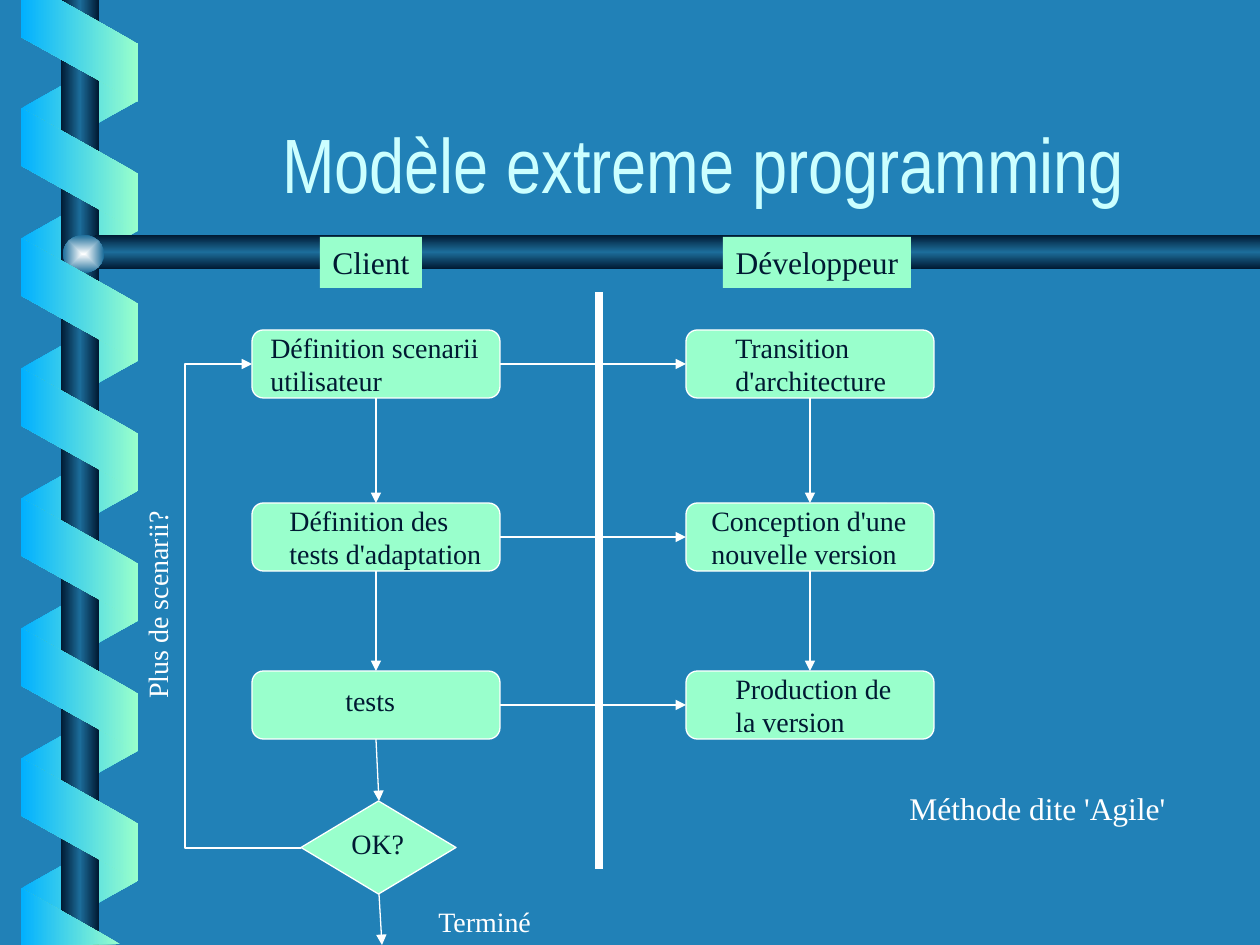
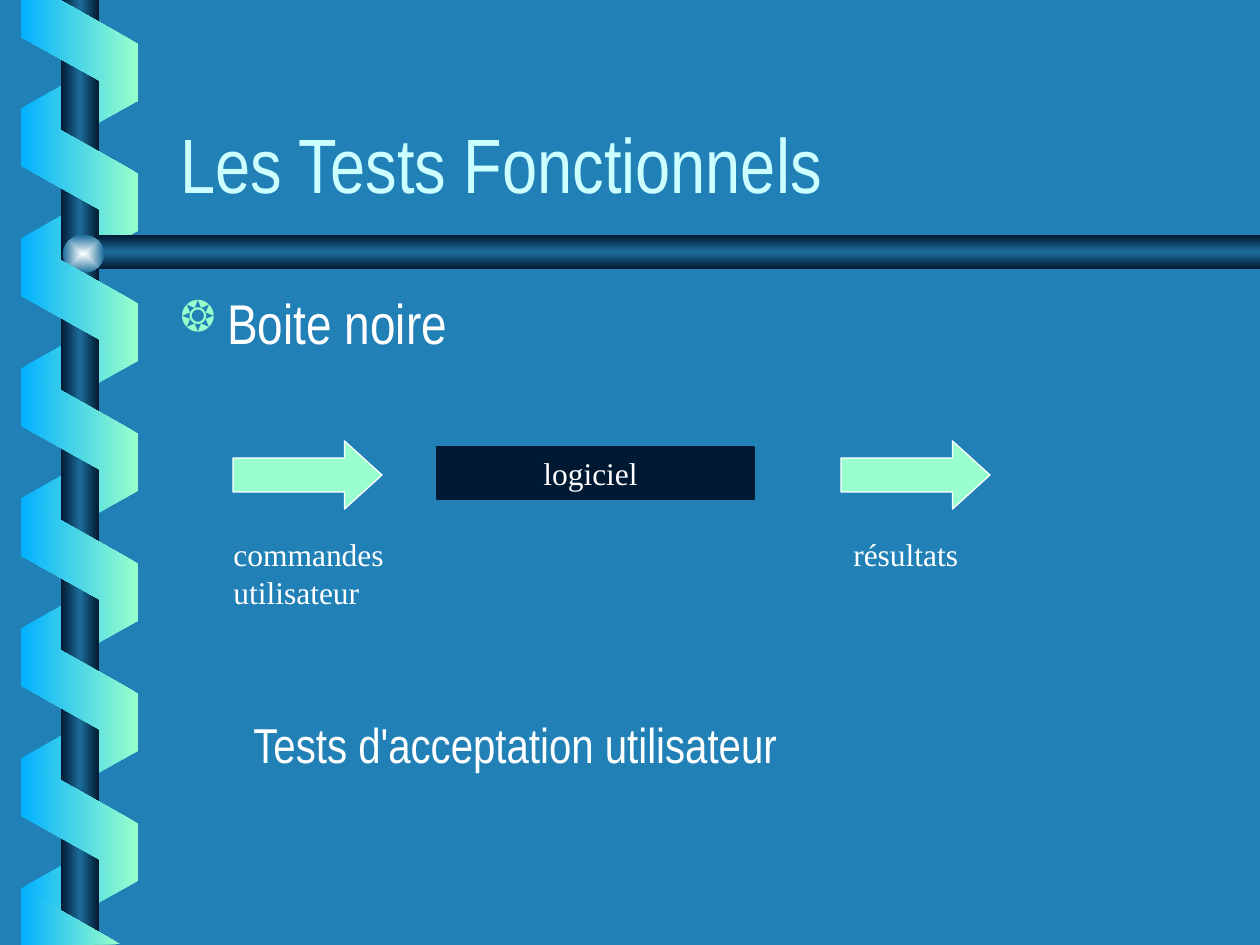
from lxml import etree
from pptx import Presentation
from pptx.dml.color import RGBColor
from pptx.enum.shapes import MSO_CONNECTOR, MSO_SHAPE
from pptx.enum.text import MSO_ANCHOR, MSO_AUTO_SIZE, PP_ALIGN
from pptx.oxml import parse_xml
from pptx.oxml.ns import nsdecls, qn
from pptx.util import Pt

RECT, ROUNDED, OVAL = MSO_SHAPE.RECTANGLE, MSO_SHAPE.ROUNDED_RECTANGLE, MSO_SHAPE.OVAL
STRIP, DIAMOND, ARROW = MSO_SHAPE.PARALLELOGRAM, MSO_SHAPE.DIAMOND, MSO_SHAPE.RIGHT_ARROW
STRAIGHT, ELBOW = MSO_CONNECTOR.STRAIGHT, MSO_CONNECTOR.ELBOW
TOP, BOTTOM = MSO_ANCHOR.TOP, MSO_ANCHOR.BOTTOM
LEFT, CENTER = PP_ALIGN.LEFT, PP_ALIGN.CENTER
NO_FIT = MSO_AUTO_SIZE.NONE

# Shared style
BLUE = RGBColor(0x21, 0x81, 0xB7)
NAVY = RGBColor(0x00, 0x19, 0x32)
STEEL = RGBColor(0x1C, 0x6D, 0x9A)
SKY = RGBColor(0x01, 0xB0, 0xFF)
MINT = RGBColor(0x99, 0xFF, 0xCC)
PALE = RGBColor(0xCC, 0xFF, 0xFF)
PEARL = RGBColor(0xFE, 0xFF, 0xFF)
WHITE = RGBColor(0xFF, 0xFF, 0xFF)
SANS, SERIF = "Arial Narrow", "Times New Roman"
UNIT = 914400 / 126
SLIDE_W, SLIDE_H = 1260, 945
TITLE_AREA = (168, 58, 1071, 157)

# Shared decoration
RIBBON_LEFT, RIBBON_W, RIBBON_H, RIBBON_STEP = 18, 123, 117, 130
BACK_TOP, BACK_COUNT = 46, 7
FRONT_TOP, FRONT_COUNT = 111, 6
RIBBON_START = [(21, 0), (21, 37), (138, 102), (138, 44), (60, 0)]
RIBBON_END = [(120, 944), (21, 888), (21, 945)]
BAND = [(1260, 235), (96, 235), (76, 252), (96, 269), (1260, 269)]

# Slide 1: the columns hold (lines, text left, text top, text width) from top to bottom
XP_TITLE = "Modèle extreme programming"
STEP_W, STEP_H = 248, 68
STEP_TOPS = [330, 503, 671]
COLUMNS = {
    252: [
        (["Définition scenarii", "utilisateur"], 258, 324, 250),
        (["Définition des", "tests d'adaptation"], 277, 497, 235),
        (["tests"], 333, 677, 90),
    ],
    686: [
        (["Transition", "d'architecture"], 723, 324, 195),
        (["Conception d'une", "nouvelle version"], 699, 497, 240),
        (["Production de", "la version"], 723, 665, 200),
    ],
}
ROLES = [("Client", 320, 102), ("Développeur", 723, 188)]
DECISION = (301, 801, 155, 93)
LOOP_X = 185

# Slide 2
TESTS_TITLE = "Les Tests Fonctionnels"
ARROW_LEFTS = [233, 841]
FLOW_LABELS = [
    (["commandes", "utilisateur"], (221, 529, 195, 88)),
    (["résultats"], (841, 529, 150, 50)),
    (["logiciel"], (531, 448, 140, 50)),
]


def emu(*lengths):
    return [round(length * UNIT) for length in lengths]


def paint(shape, fill, line=None):
    shape.shadow.inherit = False
    shape.fill.solid()
    shape.fill.fore_color.rgb = fill
    if line is None:
        shape.line.fill.background()
    else:
        shape.line.color.rgb = line
        shape.line.width = Pt(0.75)


def paint_gradient(shape, colours, angle=None):
    """Spread the colours evenly, along an angle or out from the centre."""
    paint(shape, colours[0])
    last = len(colours) - 1
    stops = "".join(
        f'<a:gs pos="{100000 * i // last}"><a:srgbClr val="{colour}"/></a:gs>'
        for i, colour in enumerate(colours))
    if angle is None:
        course = ('<a:path path="rect"><a:fillToRect l="50000" t="50000" '
                  'r="50000" b="50000"/></a:path>')
    else:
        course = f'<a:lin ang="{angle * 60000}" scaled="0"/>'
    gradient = parse_xml(f'<a:gradFill {nsdecls("a")} rotWithShape="0">'
                         f'<a:gsLst>{stops}</a:gsLst>{course}</a:gradFill>')
    properties = shape._element.spPr
    properties.replace(properties.find(qn("a:solidFill")), gradient)


def add_shape(page, kind, area, fill, line=None, adjustments=()):
    shape = page.shapes.add_shape(kind, *emu(*area))
    for i, value in enumerate(adjustments):
        shape.adjustments[i] = value
    paint(shape, fill, line)
    return shape


def add_outline(page, points):
    builder = page.shapes.build_freeform(*points[0], scale=UNIT)
    builder.add_line_segments(points[1:], close=True)
    return builder.convert_to_shape()


def add_line(page, start, end, kind=STRAIGHT, width=0.75, arrow=True):
    line = page.shapes.add_connector(kind, *emu(*start, *end))
    line.line.color.rgb = WHITE
    line.line.width = Pt(width)
    properties = line._element.spPr
    if arrow:
        tail = etree.SubElement(properties.find(qn("a:ln")), qn("a:tailEnd"))
        tail.set("type", "triangle")
    etree.SubElement(properties, qn("a:effectLst"))
    return line


def add_bullet(para, mark, colour, percent, indent):
    properties = para._p.get_or_add_pPr()
    properties.set("marL", str(indent))
    properties.set("indent", str(-indent))
    for xml in (f'<a:buClr {nsdecls("a")}><a:srgbClr val="{colour}"/></a:buClr>',
                f'<a:buSzPct {nsdecls("a")} val="{percent * 1000}"/>',
                f'<a:buChar {nsdecls("a")} char="{mark}"/>'):
        properties.append(parse_xml(xml))


def write(frame, lines, size=16, font=SERIF, colour=WHITE, align=LEFT,
          anchor=TOP, wrap=True):
    frame.word_wrap = wrap
    frame.auto_size = NO_FIT
    frame.vertical_anchor = anchor
    for i, line in enumerate(lines):
        para = frame.paragraphs[0] if i == 0 else frame.add_paragraph()
        para.alignment = align
        span = para.add_run()
        span.text = line
        span.font.size = Pt(size)
        span.font.name = font
        span.font.color.rgb = colour


def add_text(page, lines, area, **style):
    box = page.shapes.add_textbox(*emu(*area))
    write(box.text_frame, lines, **style)
    return box


def add_ribbon(page, top, count, colours, turn, flipped=False):
    for i in range(count):
        area = (RIBBON_LEFT, top + i * RIBBON_STEP, RIBBON_W, RIBBON_H)
        strip = add_shape(page, STRIP, area, SKY, adjustments=[0.56])
        strip.rotation = turn
        if flipped:
            strip._element.spPr.xfrm.set("flipH", "1")
        paint_gradient(strip, colours, 180)


def decorate(layout, page):
    """Draw the ribbon, post and band, then hand them to the layout."""
    add_ribbon(page, BACK_TOP, BACK_COUNT, [SKY, MINT], 90, flipped=True)
    post = add_shape(page, RECT, (61, 0, 38, SLIDE_H), NAVY)
    paint_gradient(post, [NAVY, STEEL, NAVY], 180)
    paint_gradient(add_outline(page, BAND), [NAVY, STEEL, NAVY], 90)
    knob = add_shape(page, OVAL, (63, 235, 41, 38), STEEL)
    paint_gradient(knob, [PEARL, STEEL])
    add_ribbon(page, FRONT_TOP, FRONT_COUNT, [MINT, SKY], 270)
    for points in (RIBBON_START, RIBBON_END):
        paint_gradient(add_outline(page, points), [MINT, SKY], 180)

    parts = [shape for shape in page.shapes if not shape.is_placeholder]
    for i, part in enumerate(parts):
        part._element.nvSpPr.cNvPr.set("id", str(100 + i))
        layout.shapes._spTree.insert(2 + i, part._element)


def set_title(page, text, align):
    title = page.shapes.title
    title.left, title.top, title.width, title.height = emu(*TITLE_AREA)
    write(title.text_frame, [text], size=44, font=SANS, colour=PALE, align=align,
          anchor=BOTTOM)


def build_process(page):
    set_title(page, XP_TITLE, CENTER)
    left, right = COLUMNS
    half = STEP_H // 2

    # Steps and the arrows down each column
    for x, steps in COLUMNS.items():
        middle = x + STEP_W // 2
        for y in STEP_TOPS:
            add_shape(page, ROUNDED, (x, y, STEP_W, STEP_H), MINT, WHITE)
        for y, following in zip(STEP_TOPS, STEP_TOPS[1:]):
            add_line(page, (middle, y + STEP_H), (middle, following))
        for lines, text_x, text_y, width in steps:
            area = (text_x, text_y, width, 34 * len(lines) + 13)
            add_text(page, lines, area, colour=NAVY)

    # Decision, its exit and the loop back to the first step
    x, y, width, height = DECISION
    tip = x + width // 2 + 1
    add_shape(page, DIAMOND, DECISION, MINT, WHITE)
    add_line(page, (left + STEP_W // 2, STEP_TOPS[-1] + STEP_H), (tip, y))
    add_line(page, (tip, y + height), (tip + 3, SLIDE_H))
    add_text(page, ["OK?"], (339, 820, 95, 47), colour=NAVY)
    loop = add_line(page, (left, STEP_TOPS[0] + half), (x, y + height // 2 + 1), ELBOW)
    shape_properties = loop._element.spPr
    shape_properties.xfrm.set("rot", "10800000")
    bend = round(100000 * (x - LOOP_X) / (x - left))
    guides = shape_properties.find(qn("a:prstGeom")).get_or_add_avLst()
    etree.SubElement(guides, qn("a:gd"), name="adj1", fmla=f"val {bend}")
    question = add_text(page, ["Plus de scenarii?"], (41, 571, 233, 47))
    question.rotation = 270
    add_text(page, ["Terminé"], (426, 898, 140, 47))

    # Hand-over from client to developer
    for y in STEP_TOPS:
        add_line(page, (left + STEP_W, y + half), (right, y + half))
    add_line(page, (599, 292), (599, 869), width=4.5, arrow=False)
    for role, x, width in ROLES:
        label = add_shape(page, RECT, (x, 237, width, 51), MINT)
        write(label.text_frame, [role], size=18, colour=NAVY, align=CENTER, wrap=False)
    add_text(page, ["Méthode dite 'Agile'"], (897, 783, 310, 51), size=18)


def build_tests(page):
    set_title(page, TESTS_TITLE, LEFT)
    box = page.shapes.add_textbox(*emu(168, 282, 1071, 567))
    add_bullet(box.text_frame.paragraphs[0], "❂", MINT, 75, emu(47)[0])
    write(box.text_frame, ["Boite noire"], size=32, font=SANS)

    # Input, black box, output
    add_shape(page, RECT, (437, 447, 317, 52), NAVY, NAVY)
    for x in ARROW_LEFTS:
        add_shape(page, ARROW, (x, 441, 149, 68), MINT, WHITE, [0.5, 0.55])
    for lines, area in FLOW_LABELS:
        add_text(page, lines, area, size=18)
    add_text(page, ["Tests d'acceptation utilisateur"], (241, 708, 711, 72),
             size=28, font=SANS)


def main():
    deck = Presentation()
    deck.slide_width, deck.slide_height = emu(SLIDE_W, SLIDE_H)
    background = deck.slide_master.background.fill
    background.solid()
    background.fore_color.rgb = BLUE
    layout = deck.slide_layouts[5]
    pages = [deck.slides.add_slide(layout) for _ in range(2)]
    decorate(layout, pages[0])
    build_process(pages[0])
    build_tests(pages[1])
    deck.save("out.pptx")


if __name__ == "__main__":
    main()
